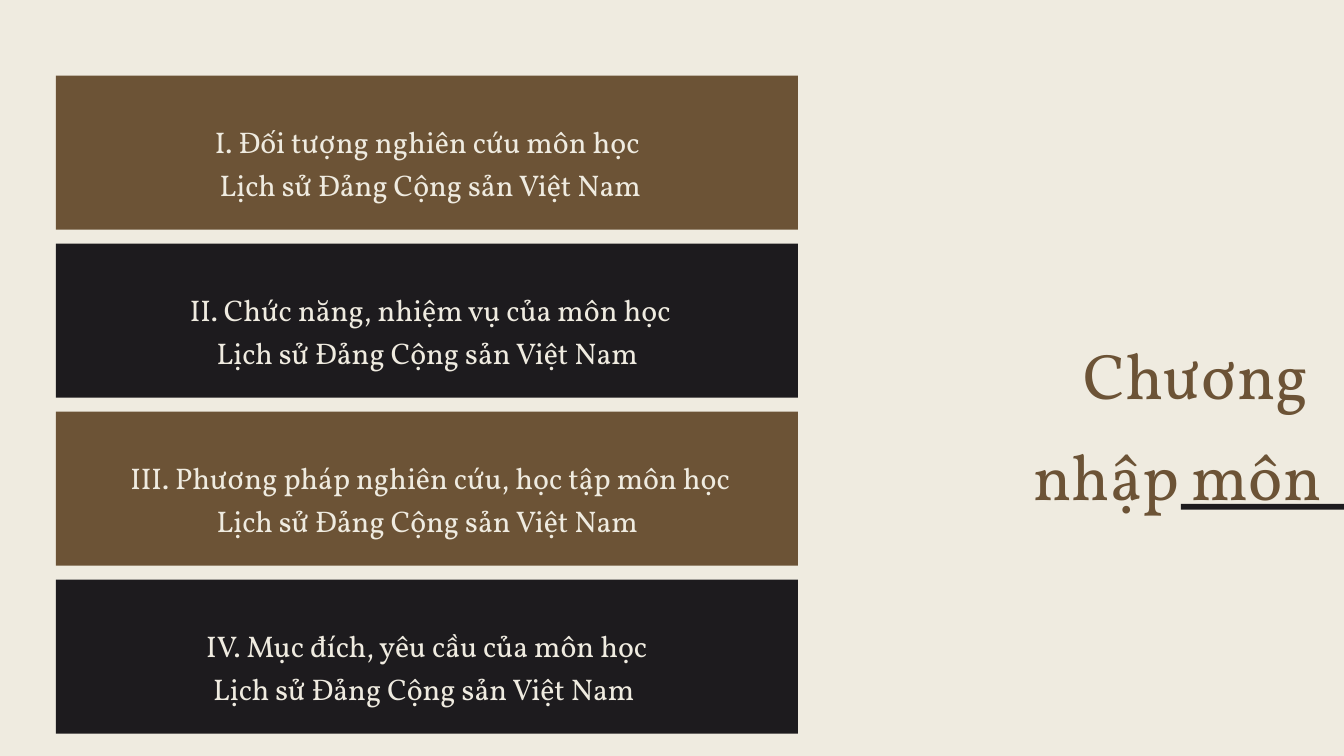
from pptx import Presentation
from pptx.dml.color import RGBColor
from pptx.enum.shapes import MSO_SHAPE as Shape
from pptx.enum.text import MSO_ANCHOR as Anchor, MSO_AUTO_SIZE as AutoSize, PP_ALIGN as Align
from pptx.util import Emu, Pt

BROWN, BLACK, CREAM = "6C5336", "1D1B1E", "EFEBE0"
SUBJECT = "Lịch sử Đảng Cộng sản Việt Nam"
SECTIONS = [
    (124, ["I. Đối tượng nghiên cứu môn học ", SUBJECT]),
    (124, ["II. Chức năng, nhiệm vụ của môn học", SUBJECT + " "]),
    (124, ["III. Phương pháp nghiên cứu, học tập môn học", SUBJECT + " "]),
    (119, ["IV. Mục đích, yêu cầu của môn học", SUBJECT + " "]),
]
PANEL_TOP, PANEL_HEIGHT, PANEL_GAP = 108, 220, 20


def px(length):
    return Emu(length * 9525)


def color(value):
    return RGBColor.from_string(value)


class SlideBuilder:
    font = "Vollkorn"

    def __init__(self, deck):
        self.page = deck.slides.add_slide(deck.slide_layouts[5])
        fill = self.page.background.fill
        fill.solid()
        fill.fore_color.rgb = color(CREAM)

    def panel(self, left, top, width, height, fill):
        panel = self.page.shapes.add_shape(
            Shape.RECTANGLE, px(left), px(top), px(width), px(height))
        panel.shadow.inherit = False
        panel.fill.solid()
        panel.fill.fore_color.rgb = color(fill)
        panel.line.fill.background()

    def set_lines(self, box, lines, size, ink, align, spacing):
        frame = box.text_frame
        frame.word_wrap = True
        frame.auto_size = AutoSize.NONE
        frame.vertical_anchor = Anchor.TOP
        frame.margin_left = frame.margin_right = 0
        frame.margin_top = frame.margin_bottom = 0
        for index, line in enumerate(lines):
            para = frame.add_paragraph() if index else frame.paragraphs[0]
            para.alignment = align
            para.line_spacing = spacing
            span = para.add_run()
            span.text = line
            span.font.name = self.font
            span.font.size = Pt(size)
            span.font.color.rgb = color(ink)

    def label(self, left, top, width, height, lines):
        box = self.page.shapes.add_textbox(px(left), px(top), px(width), px(height))
        self.set_lines(box, lines, 32, CREAM, Align.CENTER, 1.2)

    def title(self, left, top, width, height, lines):
        box = self.page.shapes.title
        box.left, box.top, box.width, box.height = map(px, (left, top, width, height))
        self.set_lines(box, lines, 69, BROWN, Align.RIGHT, 1.3)
        self.page.shapes.element.append(box.element)


def main():
    deck = Presentation()
    deck.slide_width, deck.slide_height = px(1920), px(1080)
    builder = SlideBuilder(deck)
    builder.panel(1687, 720, 233, 8, BLACK)
    for index, (left, lines) in enumerate(SECTIONS):
        top = PANEL_TOP + index * (PANEL_HEIGHT + PANEL_GAP)
        builder.panel(80, top, 1060, PANEL_HEIGHT, BLACK if index % 2 else BROWN)
        builder.label(left, top + 59, 982, 102, lines)
    builder.title(1182, 446, 706, 236, ["Chương ", "nhập môn"])
    deck.save("out.pptx")


if __name__ == "__main__":
    main()
